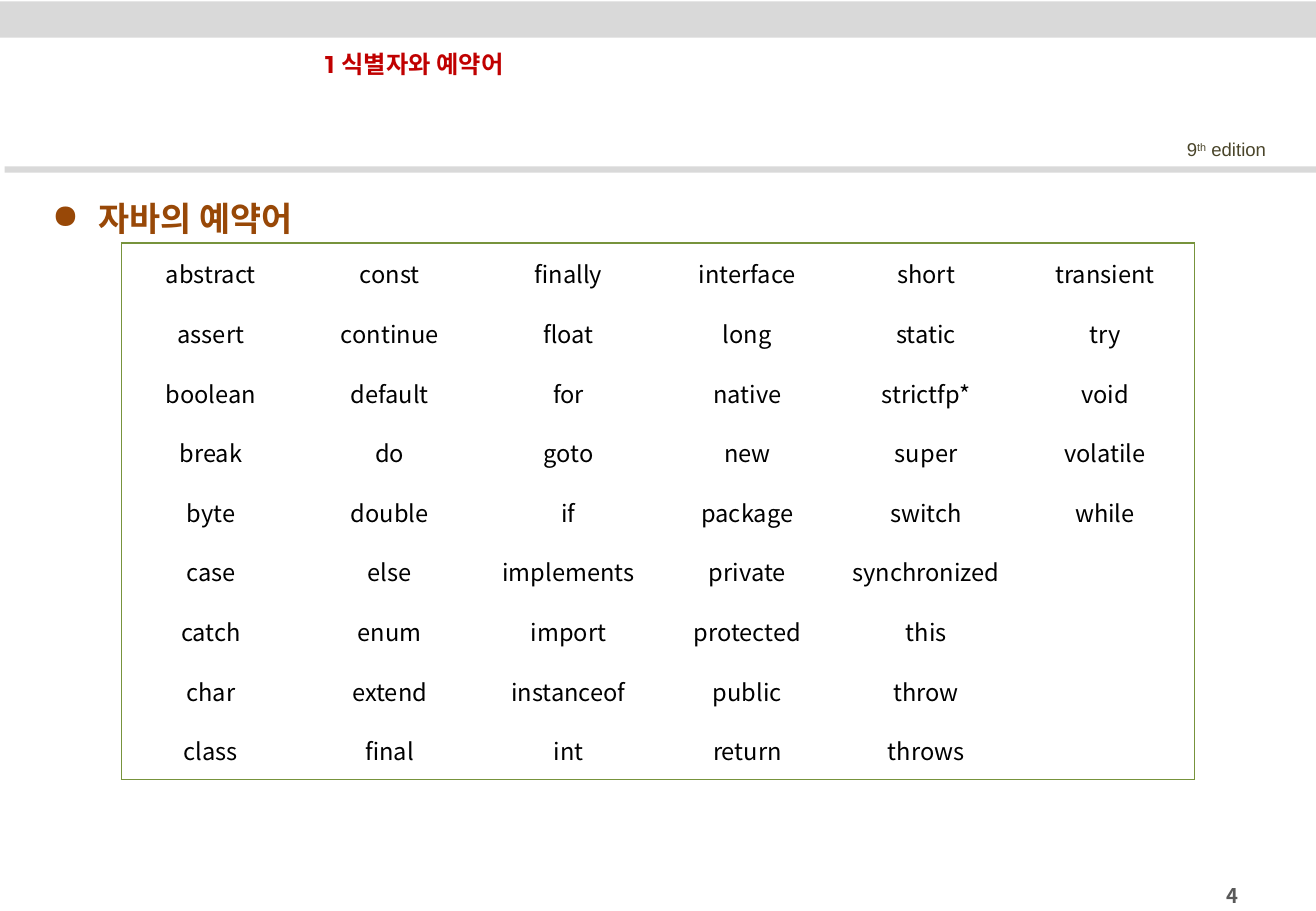
from dataclasses import dataclass
from typing import Optional

from lxml.etree import SubElement
from pptx import Presentation
from pptx.dml.color import RGBColor
from pptx.enum.shapes import MSO_SHAPE as Preset
from pptx.enum.text import MSO_ANCHOR as Anchor, PP_ALIGN as Align
from pptx.oxml.ns import qn
from pptx.util import Cm, Pt

GREY = RGBColor(0xD9, 0xD9, 0xD9)
OLIVE = RGBColor(0x4A, 0x45, 0x2A)
BROWN = RGBColor(0x98, 0x48, 0x07)
RED = RGBColor(0xC0, 0x00, 0x00)
DARK_GREY = RGBColor(0x59, 0x59, 0x59)
BLACK = RGBColor(0x00, 0x00, 0x00)
GREEN = RGBColor(0x77, 0x93, 0x3C)

KOREAN_FONT = "Noto Sans CJK KR"
ROWS, COLUMNS = 9, 6
KEYWORDS = """
abstract assert boolean break byte case catch char class
const continue default do double else enum extend final
finally float for goto if implements import instanceof int
interface long native new package private protected public return
short static strictfp* super switch synchronized this throw throws
transient try void volatile while
""".split()


@dataclass(frozen=True)
class Area:
    left: float
    top: float
    width: float
    height: float

    def lengths(self) -> tuple:
        return Cm(self.left), Cm(self.top), Cm(self.width), Cm(self.height)


BARS = (Area(0, 0.03, 27.53, 0.76), Area(0.1, 3.48, 27.41, 0.13))
TABLE_AREA = Area(2.54, 5.08, 22.43, 11.23)


def write(para, text: str, *, size: float, color: RGBColor, font: str = KOREAN_FONT,
          bold: bool = False, align: Align = Align.LEFT, baseline: int = 0) -> None:
    para.alignment = align
    span = para.add_run()
    span.text = text
    span.font.size = Pt(size)
    span.font.name = font
    span.font.bold = bold
    span.font.color.rgb = color
    properties = span.font._element
    SubElement(properties, qn("a:ea"), typeface=KOREAN_FONT)
    if baseline:
        properties.set("baseline", str(baseline * 1000))


def add_box(page, area: Area, anchor: Anchor = Anchor.TOP, wrap: bool = True):
    frame = page.shapes.add_textbox(*area.lengths()).text_frame
    frame.word_wrap = wrap
    frame.vertical_anchor = anchor
    return frame.paragraphs[0]


def add_bar(page, area: Area) -> None:
    bar = page.shapes.add_shape(Preset.RECTANGLE, *area.lengths())
    bar.shadow.inherit = False
    bar.fill.solid()
    bar.fill.fore_color.rgb = GREY
    bar.line.fill.background()


def add_bullet(para, mark: str, indent: int) -> None:
    properties = para._p.get_or_add_pPr()
    properties.set("marL", str(indent))
    properties.set("indent", str(-indent))
    SubElement(properties, qn("a:buChar"), char=mark)


def set_border(cell, side: str, color: Optional[RGBColor]) -> None:
    line = SubElement(cell._tc.get_or_add_tcPr(), qn(f"a:ln{side}"), w=str(Pt(1)))
    if color is None:
        SubElement(line, qn("a:noFill"))
    else:
        fill = SubElement(line, qn("a:solidFill"))
        SubElement(fill, qn("a:srgbClr"), val=str(color))


def add_keyword_table(page) -> None:
    table = page.shapes.add_table(ROWS, COLUMNS, *TABLE_AREA.lengths()).table
    table.first_row = False
    table.horz_banding = False
    for index in range(ROWS * COLUMNS):
        column, row = divmod(index, ROWS)
        cell = table.cell(row, column)
        cell.margin_left = cell.margin_right = cell.margin_top = Cm(0.03)
        cell.margin_bottom = 0
        cell.vertical_anchor = Anchor.MIDDLE
        outer_sides = {"L": column == 0, "R": column == COLUMNS - 1,
                       "T": row == 0, "B": row == ROWS - 1}
        for side, outer in outer_sides.items():
            set_border(cell, side, GREEN if outer else None)
        cell.fill.background()
        if index < len(KEYWORDS):
            write(cell.text_frame.paragraphs[0], KEYWORDS[index],
                  size=14, color=BLACK, align=Align.CENTER)


def main() -> None:
    deck = Presentation()
    deck.slide_width, deck.slide_height = Cm(27.51), Cm(19.05)
    page = deck.slides.add_slide(deck.slide_layouts[6])

    for bar in BARS:
        add_bar(page, bar)

    edition = add_box(page, Area(24.56, 2.77, 2.21, 0.74), wrap=False)
    for text, baseline in (("9", 0), ("th", 30), (" edition", 0)):
        write(edition, text, size=11, color=OLIVE, font="Arial", baseline=baseline)

    heading = add_box(page, Area(0.84, 3.81, 25.6, 14.17))
    heading.line_spacing = 1.25
    add_bullet(heading, "●", Cm(0.97))
    write(heading, "자바의 예약어", size=20, color=BROWN, bold=True)

    title = add_box(page, Area(6.55, 0.91, 17.02, 0.84), Anchor.MIDDLE)
    write(title, "1 식별자와 예약어", size=14.4, color=RED, font="Montserrat", bold=True)

    number = add_box(page, Area(19.71, 18.21, 6.43, 1.02), Anchor.MIDDLE)
    write(number, "4", size=12, color=DARK_GREY, bold=True, align=Align.RIGHT)

    add_keyword_table(page)
    deck.save("out.pptx")


if __name__ == "__main__":
    main()
